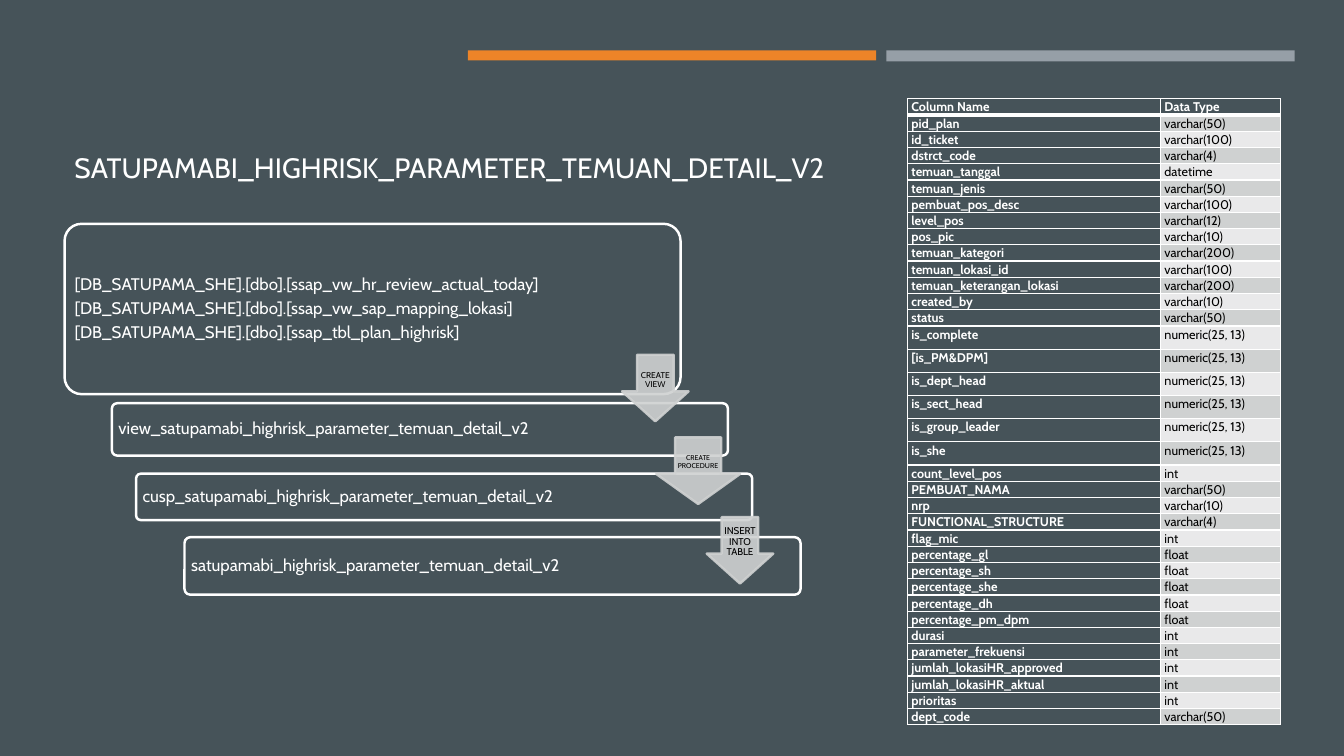
from lxml import etree
from pptx import Presentation
from pptx.dml.color import RGBColor
from pptx.enum import shapes, text
from pptx.oxml import ns
from pptx.util import Inches, Pt

SLATE = RGBColor(0x46, 0x53, 0x59)
ORANGE = RGBColor(0xED, 0x84, 0x28)
STEEL = RGBColor(0x96, 0x9F, 0xA7)
WHITE = RGBColor(0xFF, 0xFF, 0xFF)
BLACK = RGBColor(0, 0, 0)
BAND_DARK = RGBColor(0xCF, 0xD1, 0xD1)
BAND_LIGHT = RGBColor(0xE9, 0xE9, 0xEA)
FONT = "Cabin"

TITLE = "SATUPAMABI_HIGHRISK_PARAMETER_TEMUAN_DETAIL_V2"

# Header bars and title panel: left, top, width, height, colour
PANELS = [
    (8.79, 0.5, 4.05, 0.11, STEEL),
    (4.64, 0.5, 4.05, 0.1, ORANGE),
    (0.48, 0.67, 12.37, 1.3, SLATE),
]

# Stages of the flow: left, top, height, lines
STAGE_WIDTH = 6.11
STAGES = [
    (0.64, 2.22, 1.69, ["[DB_SATUPAMA_SHE].[dbo].[ssap_vw_hr_review_actual_today]",
                        "[DB_SATUPAMA_SHE].[dbo].[ssap_vw_sap_mapping_lokasi]",
                        "[DB_SATUPAMA_SHE].[dbo].[ssap_tbl_plan_highrisk]"]),
    (1.11, 4, 0.52, ["view_satupamabi_highrisk_parameter_temuan_detail_v2"]),
    (1.35, 4.7, 0.46, ["cusp_satupamabi_highrisk_parameter_temuan_detail_v2"]),
    (1.83, 5.33, 0.57, ["satupamabi_highrisk_parameter_temuan_detail_v2"]),
]

# Steps between stages: left, top, width, label, text size
STEP_HEIGHT = 0.66
STEPS = [
    (6.17, 3.52, 0.66, "CREATE VIEW", 6),
    (6.51, 4.34, 0.83, "CREATE PROCEDURE", 5),
    (7.01, 5.13, 0.66, "INSERT INTO TABLE", 7),
]

COLUMNS = [
    ("Column Name", "Data Type"),
    ("pid_plan", "varchar(50)"),
    ("id_ticket", "varchar(100)"),
    ("dstrct_code", "varchar(4)"),
    ("temuan_tanggal", "datetime"),
    ("temuan_jenis", "varchar(50)"),
    ("pembuat_pos_desc", "varchar(100)"),
    ("level_pos", "varchar(12)"),
    ("pos_pic", "varchar(10)"),
    ("temuan_kategori", "varchar(200)"),
    ("temuan_lokasi_id", "varchar(100)"),
    ("temuan_keterangan_lokasi", "varchar(200)"),
    ("created_by", "varchar(10)"),
    ("status", "varchar(50)"),
    ("is_complete", "numeric(25, 13)"),
    ("[is_PM&DPM]", "numeric(25, 13)"),
    ("is_dept_head", "numeric(25, 13)"),
    ("is_sect_head", "numeric(25, 13)"),
    ("is_group_leader", "numeric(25, 13)"),
    ("is_she", "numeric(25, 13)"),
    ("count_level_pos", "int"),
    ("PEMBUAT_NAMA", "varchar(50)"),
    ("nrp", "varchar(10)"),
    ("FUNCTIONAL_STRUCTURE", "varchar(4)"),
    ("flag_mic", "int"),
    ("percentage_gl", "float"),
    ("percentage_sh", "float"),
    ("percentage_she", "float"),
    ("percentage_dh", "float"),
    ("percentage_pm_dpm", "float"),
    ("durasi", "int"),
    ("parameter_frekuensi", "int"),
    ("jumlah_lokasiHR_approved", "int"),
    ("jumlah_lokasiHR_aktual", "int"),
    ("prioritas", "int"),
    ("dept_code", "varchar(50)"),
]
COLUMN_WIDTHS = (2.51, 1.19)
ROW_HEIGHT, NUMERIC_ROW_HEIGHT = 0.16, 0.23

prs = Presentation()
prs.slide_width, prs.slide_height = Inches(13.33), Inches(7.5)
slide = prs.slides.add_slide(prs.slide_layouts[6])
slide.background.fill.solid()
slide.background.fill.fore_color.rgb = SLATE


def add_block(kind, left, top, width, height, fill, line=None):
    block = slide.shapes.add_shape(kind, Inches(left), Inches(top), Inches(width), Inches(height))
    block.shadow.inherit = False
    block.fill.solid()
    block.fill.fore_color.rgb = fill
    if line is None:
        block.line.fill.background()
    else:
        block.line.color.rgb = line
        block.line.width = Pt(1.75)
    return block


def write(frame, lines, size, color, align, inset, anchor=text.MSO_ANCHOR.MIDDLE, bold=False,
          spacing=None, after=0):
    frame.text = "\n".join(lines)
    frame.word_wrap = True
    frame.vertical_anchor = anchor
    frame.margin_left = frame.margin_right = Inches(inset[0])
    frame.margin_top = frame.margin_bottom = Inches(inset[1])
    for paragraph in frame.paragraphs:
        paragraph.alignment = align
        paragraph.line_spacing = spacing
        paragraph.space_after = Pt(after)
        font = paragraph.runs[0].font
        font.name, font.size, font.bold = FONT, Pt(size), bold
        font.color.rgb = color


def set_border(cell, bottom_width):
    sides = [("lnL", 1), ("lnR", 1), ("lnT", 1), ("lnB", bottom_width)]
    for position, (side, width) in enumerate(sides):
        edge = etree.Element(ns.qn("a:" + side), w=str(Pt(width)))
        fill = etree.SubElement(edge, ns.qn("a:solidFill"))
        etree.SubElement(fill, ns.qn("a:srgbClr"), val=str(WHITE))
        cell._tc.get_or_add_tcPr().insert(position, edge)


# Header
for *box, color in PANELS:
    add_block(shapes.MSO_SHAPE.RECTANGLE, *box, color)
title = slide.shapes.add_textbox(Inches(0.64), Inches(0.77), Inches(12.06), Inches(1.11))
write(title.text_frame, [TITLE], 20, WHITE, text.PP_ALIGN.LEFT, (0.1, 0.05),
      text.MSO_ANCHOR.BOTTOM)

# Flow stages
for left, top, height, lines in STAGES:
    stage = add_block(shapes.MSO_SHAPE.ROUNDED_RECTANGLE, left, top, STAGE_WIDTH, height,
                      SLATE, WHITE)
    stage.adjustments[0] = 0.1
    write(stage.text_frame, lines, 12, WHITE, text.PP_ALIGN.LEFT, (0.05, 0.05),
          spacing=0.9, after=12 * 0.35)

# Translucent step arrows
for left, top, width, label, size in STEPS:
    step = add_block(shapes.MSO_SHAPE.DOWN_ARROW, left, top, width, STEP_HEIGHT,
                     BAND_DARK, BAND_DARK)
    step.adjustments[0], step.adjustments[1] = 0.55, 0.45
    for tint in step._element.spPr.iter(ns.qn("a:srgbClr")):
        etree.SubElement(tint, ns.qn("a:alpha"), val="90000")
    write(step.text_frame, [label], size, BLACK, text.PP_ALIGN.CENTER, (0.01, 0.01),
          spacing=0.9, after=size * 0.35)

# Column table
row_heights = [NUMERIC_ROW_HEIGHT if kind.startswith("numeric") else ROW_HEIGHT
               for _, kind in COLUMNS]
table = slide.shapes.add_table(len(COLUMNS), 2, Inches(9), Inches(0.98),
                               Inches(sum(COLUMN_WIDTHS)), Inches(sum(row_heights))).table
table.horz_banding = False
for column, width in zip(table.columns, COLUMN_WIDTHS):
    column.width = Inches(width)
for r, (entry, height) in enumerate(zip(COLUMNS, row_heights)):
    table.rows[r].height = Inches(height)
    for c, value in enumerate(entry):
        cell = table.cell(r, c)
        heading = r == 0 or c == 0
        write(cell.text_frame, [value], 9, WHITE if heading else BLACK, text.PP_ALIGN.LEFT,
              (0, 0), text.MSO_ANCHOR.TOP, heading, 1.07)
        cell.margin_left = cell.margin_right = Inches(0.04)
        cell.margin_top = cell.margin_bottom = 0
        cell.fill.solid()
        cell.fill.fore_color.rgb = SLATE if heading else (BAND_LIGHT, BAND_DARK)[r % 2]
        set_border(cell, 3 if r == 0 else 1)

prs.save("out.pptx")
